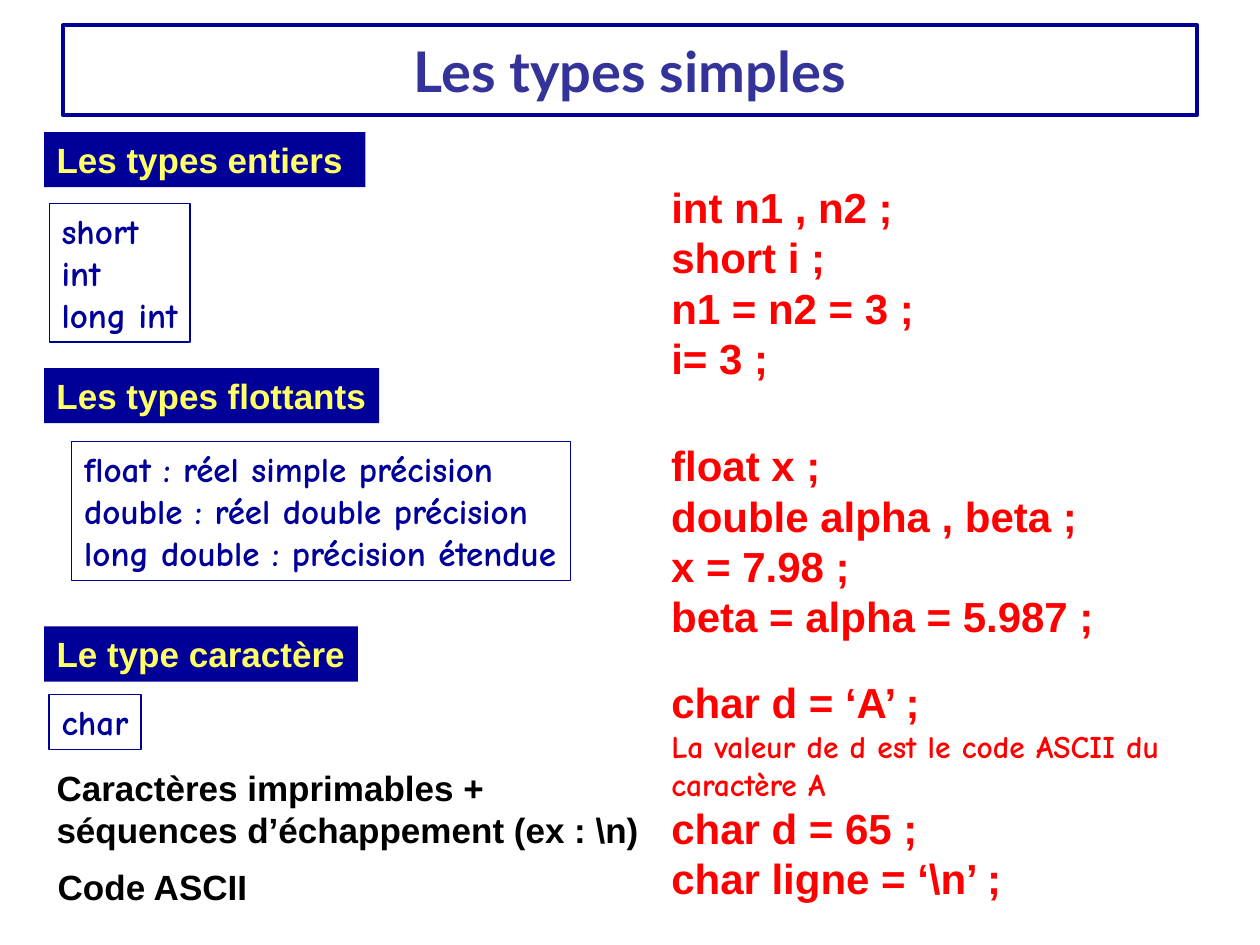
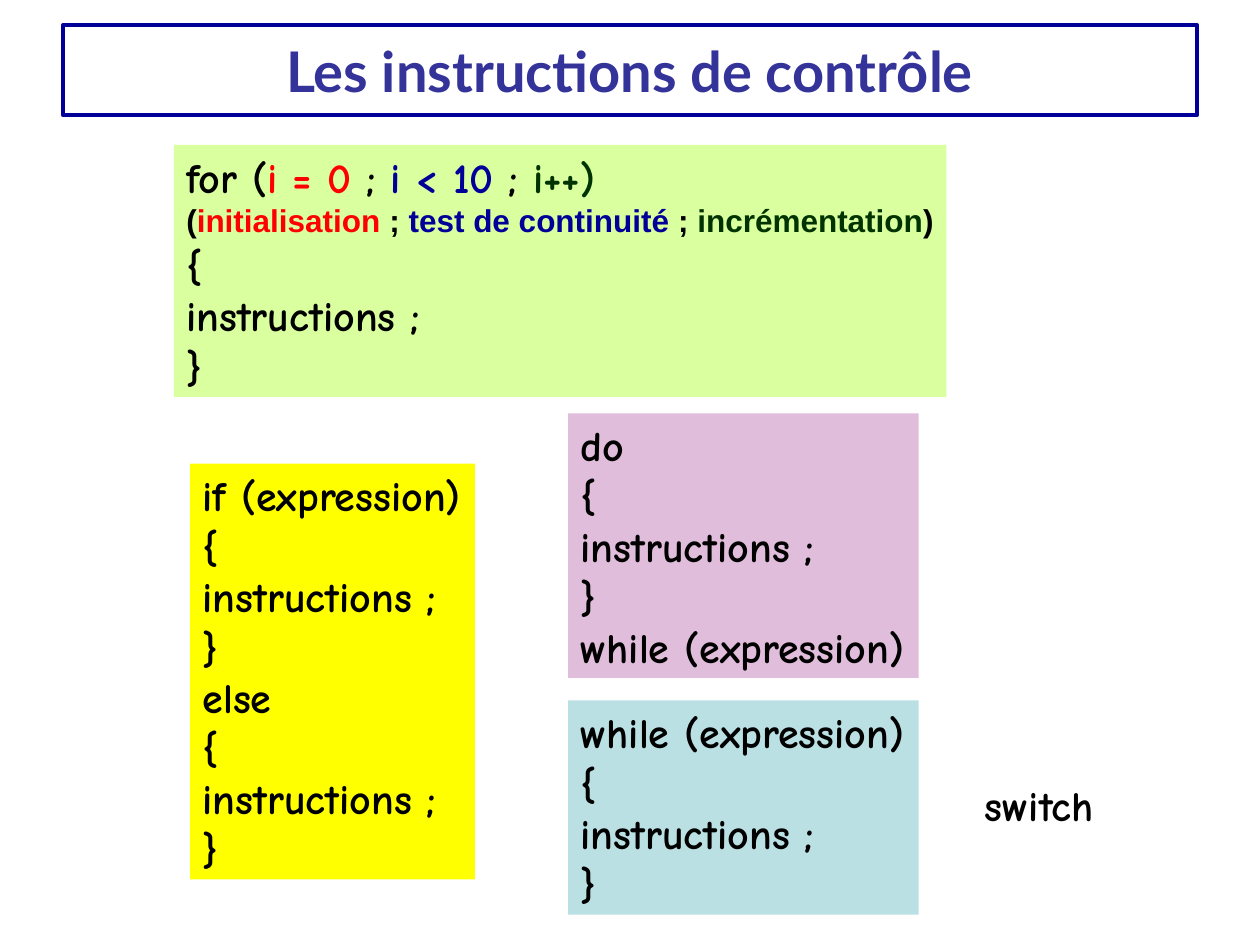
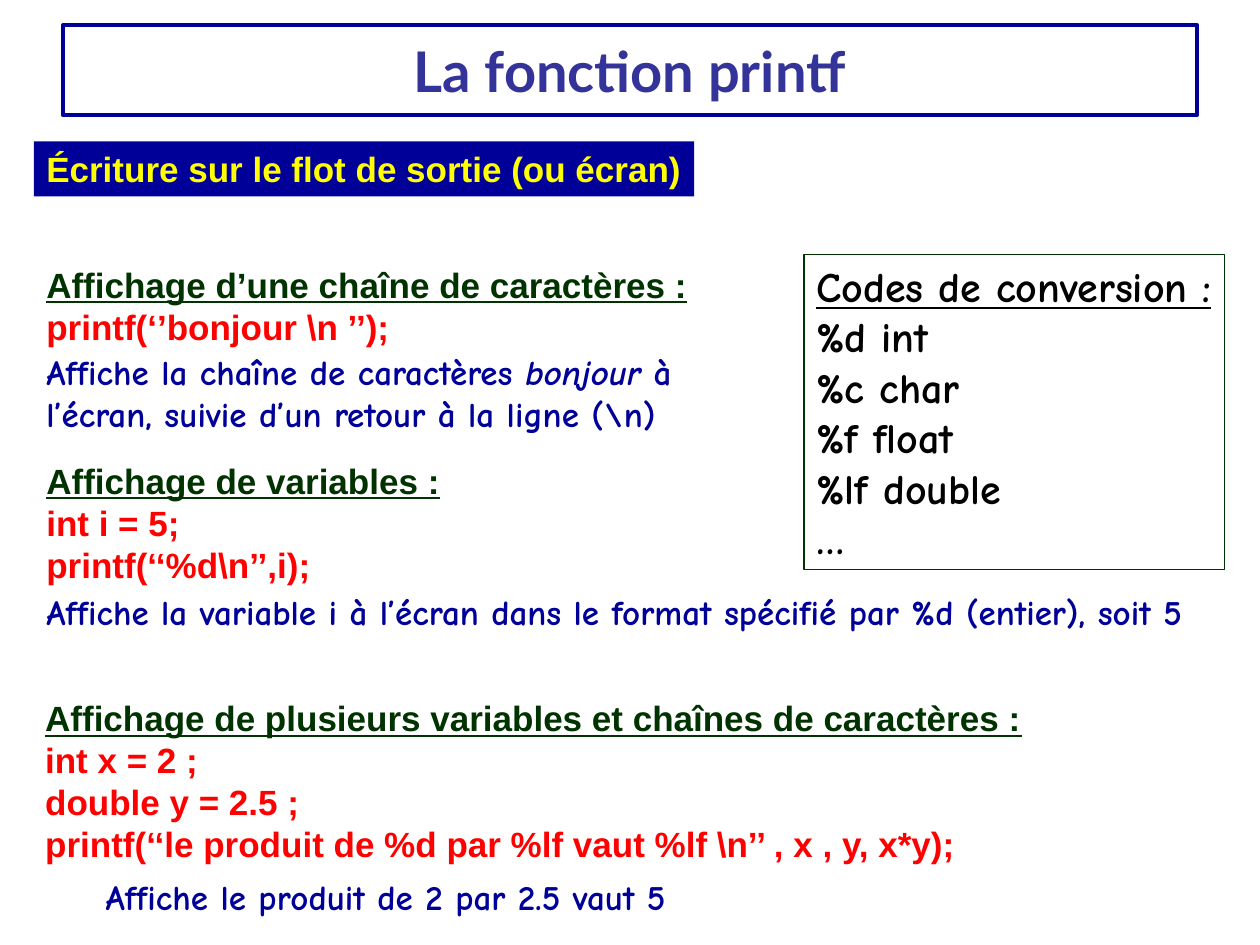
from dataclasses import asdict, dataclass, replace
from typing import NamedTuple

from pptx import Presentation
from pptx.dml.color import RGBColor
from pptx.enum import shapes, text
from pptx.util import Pt


@dataclass(frozen=True)
class Theme:
    navy: str = "000099"
    title_ink: str = "333399"
    pale_yellow: str = "FFFF66"
    yellow: str = "FFFF00"
    red: str = "FF0000"
    green: str = "003300"
    black: str = "000000"
    lime: str = "DAFF9F"
    mauve: str = "E1BDDC"
    aqua: str = "BBE0E3"
    title_font: str = "Lato"
    plain_font: str = "Arial"
    hand_font: str = "Comic Neue"
    title_size: int = 32
    code_size: int = 24
    body_size: int = 20
    small_size: int = 18
    title_border: float = 2.25
    thin_border: float = 0.75


THEME = Theme()


@dataclass(frozen=True)
class Style:
    font: str
    size: int
    color: str
    underline: bool = False
    italic: bool = False


# Text styles
TITLE = Style(THEME.title_font, THEME.title_size, THEME.title_ink)
BAND = Style(THEME.plain_font, THEME.body_size, THEME.pale_yellow)
BODY = replace(BAND, color=THEME.black)
HEADING = replace(BAND, color=THEME.green, underline=True)
PRINTF = replace(BAND, color=THEME.red)
EXAMPLE = replace(PRINTF, size=THEME.code_size)
NOTE = Style(THEME.hand_font, THEME.body_size, THEME.navy)
SYNTAX = Style(THEME.hand_font, THEME.code_size, THEME.black)
LEGEND = Style(THEME.plain_font, THEME.small_size, THEME.black)


class Run(NamedTuple):
    text: str
    style: Style


Line = list[Run]


@dataclass(frozen=True)
class Panel:
    """A block of lines; position and size are in points."""
    left: float
    top: float
    width: float
    height: float
    lines: list[Line]
    fill: str | None = None
    border: str | None = None
    keep_width: bool = False


def lines(style: Style, *texts: str) -> list[Line]:
    return [[Run(words, style)] for words in texts]


def colored(style: Style, *parts: tuple[str, str]) -> Line:
    return [Run(words, replace(style, color=color)) for words, color in parts]


def write(paragraph, words: str, *, font: str, size: float, color: str,
          underline: bool = False, italic: bool = False) -> None:
    run = paragraph.add_run()
    run.text = words
    run.font.name = font
    run.font.size = Pt(size)
    run.font.color.rgb = RGBColor.from_string(color)
    run.font.bold = True
    run.font.underline = underline
    run.font.italic = italic


def outline(shape, color: str, width: float) -> None:
    shape.line.color.rgb = RGBColor.from_string(color)
    shape.line.width = Pt(width)


def draw_panel(slide, panel: Panel) -> None:
    box = tuple(Pt(v) for v in (panel.left, panel.top, panel.width, panel.height))
    boxed = bool(panel.fill or panel.border)
    if boxed:
        shape = slide.shapes.add_shape(shapes.MSO_SHAPE.RECTANGLE, *box)
        shape.shadow.inherit = False
        if panel.fill:
            shape.fill.solid()
            shape.fill.fore_color.rgb = RGBColor.from_string(panel.fill)
        else:
            shape.fill.background()
        if panel.border:
            outline(shape, panel.border, THEME.thin_border)
        else:
            shape.line.fill.background()
    else:
        shape = slide.shapes.add_textbox(*box)
    frame = shape.text_frame
    # Boxes fit their text; plain text keeps its given width
    frame.word_wrap = panel.keep_width or not boxed
    frame.auto_size = text.MSO_AUTO_SIZE.SHAPE_TO_FIT_TEXT
    frame.vertical_anchor = text.MSO_ANCHOR.TOP
    for index, line in enumerate(panel.lines):
        paragraph = frame.add_paragraph() if index else frame.paragraphs[0]
        paragraph.alignment = text.PP_ALIGN.LEFT
        for run in line:
            write(paragraph, run.text, **asdict(run.style))


def draw_slide(deck, heading: str, panels: list[Panel]) -> None:
    slide = deck.slides.add_slide(deck.slide_layouts[5])
    title = slide.shapes.title
    title.left, title.top, title.width, title.height = Pt(36), Pt(14.4), Pt(648), Pt(51.5)
    outline(title, THEME.navy, THEME.title_border)
    frame = title.text_frame
    frame.auto_size = text.MSO_AUTO_SIZE.NONE
    frame.vertical_anchor = text.MSO_ANCHOR.MIDDLE
    frame.paragraphs[0].alignment = text.PP_ALIGN.CENTER
    write(frame.paragraphs[0], heading, **asdict(TITLE))
    for panel in panels:
        draw_panel(slide, panel)


def band(left: float, top: float, width: float, words: str,
         style: Style = BAND, keep_width: bool = False) -> Panel:
    return Panel(left, top, width, 31.5, lines(style, words), fill=THEME.navy,
                 keep_width=keep_width)


def type_list(left: float, top: float, width: float, height: float, *names: str) -> Panel:
    return Panel(left, top, width, height, lines(NOTE, *names), border=THEME.navy)


def example(top: float, width: float, *code: str) -> Panel:
    return Panel(376.5, top, width, 122.4, lines(EXAMPLE, *code))


def printf_case(left: float, top: float, width: float, height: float,
                heading: str, *code: str) -> Panel:
    return Panel(left, top, width, height, lines(HEADING, heading) + lines(PRINTF, *code))


BLOCK = ("{", "instructions ;", "}")
WHILE = "while (expression)"


def simple_types() -> list[Panel]:
    return [
        # Type families
        band(25.2, 75.5, 183.6, "Les types entiers", keep_width=True),
        type_list(28.1, 116.2, 80.6, 79.3, "short", "int", "long int"),
        band(25.2, 210.3, 191.5, "Les types flottants"),
        type_list(41, 252.4, 285.2, 79.3, "float : réel simple précision",
                  "double : réel double précision", "long double : précision étendue"),
        band(25.2, 358, 179.3, "Le type caractère"),
        type_list(28.1, 396.7, 52.6, 31.5, "char"),
        Panel(25.9, 491, 127, 31.5, lines(BODY, "Code ASCII")),
        Panel(25.2, 434.2, 351, 55.4, lines(
            BODY, "Caractères imprimables +", r"séquences d’échappement (ex : \n)")),
        # Declarations
        example(100.1, 157, "int n1 , n2 ;", "short i ;", "n1 = n2 = 3 ;", "i= 3 ;"),
        example(247.7, 260, "float x ;", "double alpha , beta ;", "x = 7.98 ;",
                "beta = alpha = 5.987 ;"),
        Panel(376.5, 383, 368.6, 136.8,
              lines(EXAMPLE, "char d = ‘A’ ;")
              + lines(replace(EXAMPLE, font=THEME.hand_font, size=THEME.small_size),
                      "La valeur de d est le code ASCII du caractère A")
              + lines(EXAMPLE, "char d = 65 ;", r"char ligne = ‘\n’ ;")),
    ]


def control_statements() -> list[Panel]:
    black, red, navy, green = THEME.black, THEME.red, THEME.navy, THEME.green
    for_loop = [
        colored(SYNTAX, ("for (", black), ("i = 0", red), (" ; ", black),
                ("i < 10", navy), (" ; ", black), ("i++)", green)),
        colored(LEGEND, ("(", black), ("initialisation", red), (" ; ", black),
                ("test de continuité", navy), (" ; ", black),
                ("incrémentation", green), (")", black)),
        *lines(SYNTAX, *BLOCK),
    ]
    return [
        Panel(99.4, 82.8, 441.4, 144, for_loop, fill=THEME.lime),
        Panel(108.7, 265, 162.7, 237.6,
              lines(SYNTAX, "if (expression)", *BLOCK, "else", *BLOCK), fill=THEME.yellow),
        Panel(324.7, 236.2, 200.2, 151.2, lines(SYNTAX, "do", *BLOCK, WHILE),
              fill=THEME.mauve),
        Panel(324.7, 400.3, 200.2, 122.4, lines(SYNTAX, WHILE, *BLOCK), fill=THEME.aqua),
        Panel(555.8, 442.1, 81, 36, lines(SYNTAX, "switch")),
    ]


def printf_function() -> list[Panel]:
    greeting = [
        Run("Affiche la chaîne de caractères ", NOTE),
        Run("bonjour", replace(NOTE, italic=True)),
        Run(r" à l’écran, suivie d’un retour à la ligne (\n)", NOTE),
    ]
    return [
        band(19.4, 80.8, 377.3, "Écriture sur le flot de sortie (ou écran)",
             replace(BAND, color=THEME.yellow)),
        # Character string
        printf_case(19.4, 147, 385, 55.4, "Affichage d’une chaîne de caractères :",
                    r"printf(‘’bonjour \n ’’);"),
        Panel(19.4, 196.6, 430.6, 55.4, [greeting]),
        # One variable
        printf_case(19.4, 258.8, 243, 79.3, "Affichage de variables :",
                    "int i = 5;", r"printf(‘‘%d\n’’,i);"),
        Panel(19.4, 334.1, 700.6, 31.5, lines(
            NOTE, "Affiche la variable i à l’écran dans le format spécifié par %d "
                  "(entier), soit 5")),
        # Several variables
        printf_case(18.7, 394.6, 577, 103.7,
                    "Affichage de plusieurs variables et chaînes de caractères :",
                    "int x = 2 ;", "double y = 2.5 ;",
                    r"printf(‘‘le produit de %d par %lf vaut %lf \n’’ , x , y, x*y);"),
        Panel(53.3, 496.8, 340, 31.5,
              lines(NOTE, "Affiche le produit de 2 par 2.5 vaut 5")),
        # Conversion codes
        Panel(459.4, 145.4, 240.5, 180,
              lines(replace(SYNTAX, underline=True), "Codes de conversion :")
              + lines(SYNTAX, "%d int", "%c char", "%f float", "%lf double", "…"),
              border=THEME.green),
    ]


def main() -> None:
    deck = Presentation()
    deck.slide_width, deck.slide_height = Pt(720), Pt(540)
    draw_slide(deck, "Les types simples", simple_types())
    draw_slide(deck, "Les instructions de contrôle", control_statements())
    draw_slide(deck, "La fonction printf", printf_function())
    deck.save("out.pptx")


if __name__ == "__main__":
    main()
